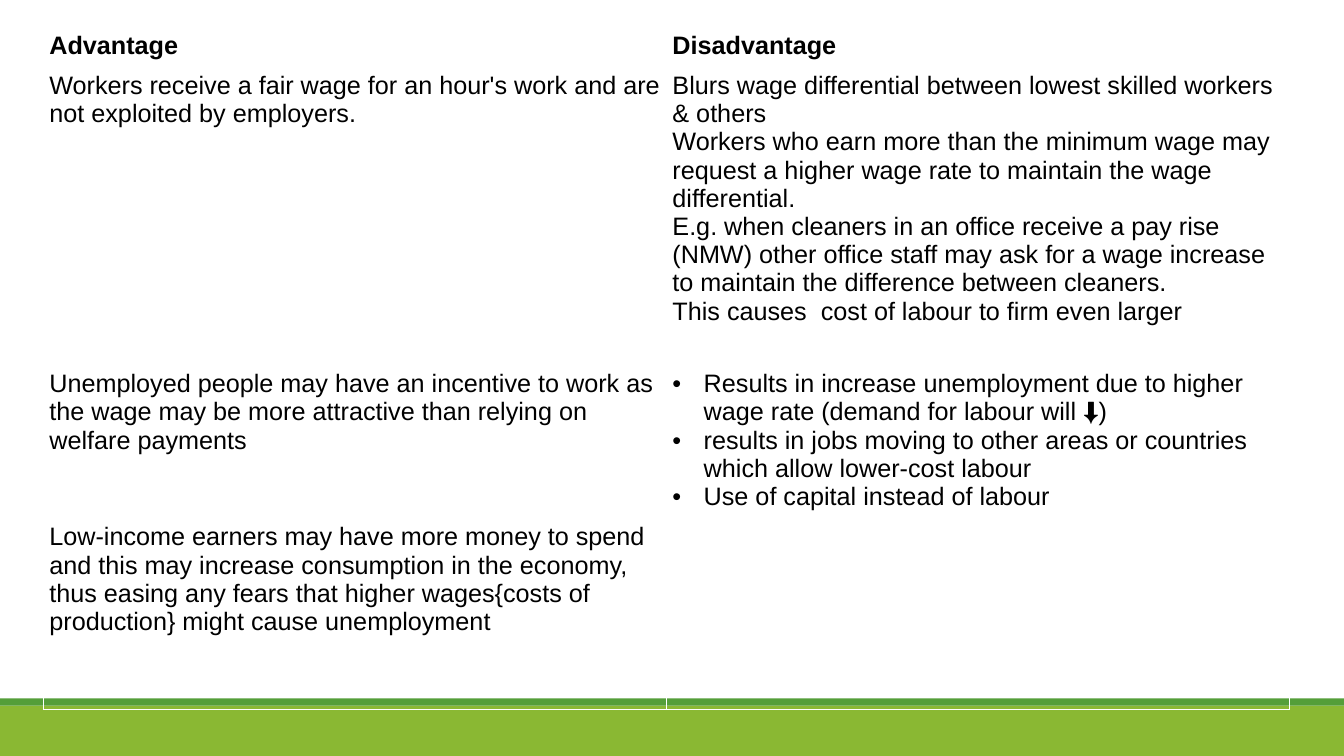
from lxml import etree
from pptx import Presentation
from pptx.dml.color import RGBColor
from pptx.enum.shapes import MSO_SHAPE
from pptx.oxml.ns import qn
from pptx.util import Inches, Pt

RECTANGLE = MSO_SHAPE.RECTANGLE
PAGE_WIDTH, PAGE_HEIGHT = 13.33, 7.5
COLUMN_WIDTH = 6.18
ROW_HEIGHTS = [0.4, 2.96, 1.51, 1.91]
CELL_MARGIN = 0.06
BULLET_INDENT = 0.31

# Each row holds the paragraphs of its advantage and its disadvantage cell.
ROWS = [
    (["Advantage"], ["Disadvantage"]),
    (
        ["Workers receive a fair wage for an hour's work and are not exploited by employers."],
        [
            "Blurs wage differential between lowest skilled workers & others",
            "Workers who earn more than the minimum wage may request a higher wage rate "
            "to maintain the wage differential.",
            "E.g. when cleaners in an office receive a pay rise (NMW) other office staff "
            "may ask for a wage increase to maintain the difference between cleaners.",
            "This causes  cost of labour to firm even larger",
        ],
    ),
    (
        ["Unemployed people may have an incentive to work as the wage may be more "
         "attractive than relying on welfare payments"],
        [
            "Results in increase unemployment due to higher wage rate (demand for labour will ⬇)",
            "results in jobs moving to other areas or countries which allow lower-cost labour",
            "Use of capital instead of labour",
        ],
    ),
    (
        ["Low-income earners may have more money to spend and this may increase "
         "consumption in the economy, thus easing any fears that higher wages{costs of "
         "production} might cause unemployment"],
        [],
    ),
]
BULLETED_CELL = (2, 1)


def color(hex_string):
    return RGBColor.from_string(hex_string)


def add_band(page, top, height, fill):
    band = page.shapes.add_shape(
        RECTANGLE, Inches(0), Inches(top), Inches(PAGE_WIDTH), Inches(height))
    band.shadow.inherit = False
    band.fill.solid()
    band.fill.fore_color.rgb = color(fill)
    band.line.fill.background()


def add_footer(page, top, edge_height):
    """Draw the green footer with a darker edge just above it."""
    add_band(page, top, PAGE_HEIGHT - top, "8AB833")
    add_band(page, top - edge_height, edge_height, "549E39")


def add_bullet(para):
    properties = para._p.get_or_add_pPr()
    properties.set("marL", str(Inches(BULLET_INDENT)))
    properties.set("indent", str(-Inches(BULLET_INDENT)))
    bullet_color = etree.SubElement(properties, qn("a:buClr"))
    etree.SubElement(bullet_color, qn("a:srgbClr"), val="000000")
    etree.SubElement(properties, qn("a:buFont"), typeface="Arial")
    etree.SubElement(properties, qn("a:buChar"), char="•")


def fill_cell(cell, texts, bold, bulleted):
    cell.fill.background()
    cell.margin_left = cell.margin_right = Inches(CELL_MARGIN)
    cell.margin_top = cell.margin_bottom = Inches(CELL_MARGIN)
    frame = cell.text_frame
    for index, text in enumerate(texts):
        para = frame.add_paragraph() if index else frame.paragraphs[0]
        if bulleted:
            add_bullet(para)
        span = para.add_run()
        span.text = text
        span.font.name = "Arial"
        span.font.size = Pt(18)
        span.font.bold = bold
        span.font.color.rgb = color("000000")


def add_comparison_table(page, left, top):
    frame = page.shapes.add_table(
        len(ROWS), 2, Inches(left), Inches(top),
        Inches(2 * COLUMN_WIDTH), Inches(sum(ROW_HEIGHTS)))
    table = frame.table
    table.first_row = table.horz_banding = False
    for column in table.columns:
        column.width = Inches(COLUMN_WIDTH)
    for row_index, (height, row) in enumerate(zip(ROW_HEIGHTS, ROWS)):
        table.rows[row_index].height = Inches(height)
        for column_index, texts in enumerate(row):
            fill_cell(
                table.cell(row_index, column_index), texts,
                bold=row_index == 0,
                bulleted=(row_index, column_index) == BULLETED_CELL)


def main():
    deck = Presentation()
    deck.slide_width = Inches(PAGE_WIDTH)
    deck.slide_height = Inches(PAGE_HEIGHT)
    page = deck.slides.add_slide(deck.slide_layouts[6])
    add_footer(page, top=7, edge_height=0.07)
    add_comparison_table(page, left=0.43, top=0.25)
    deck.save("out.pptx")


if __name__ == "__main__":
    main()
